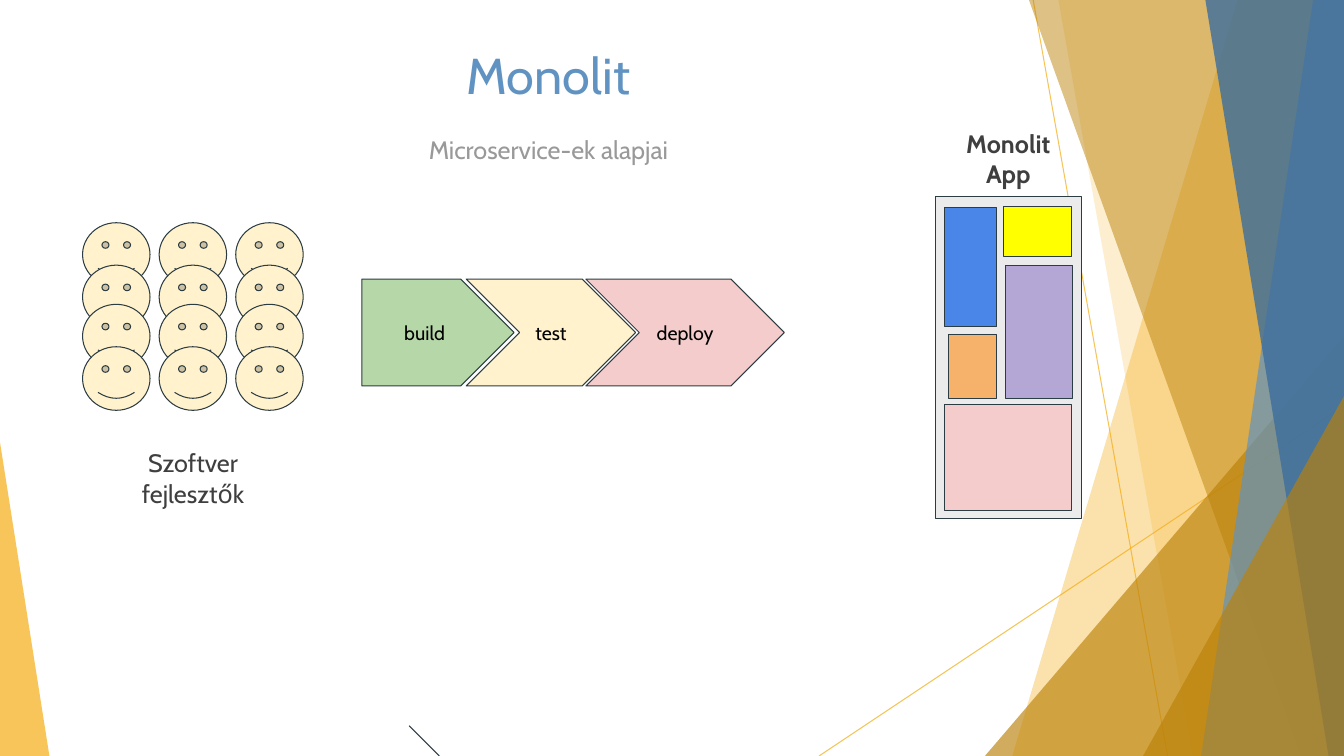
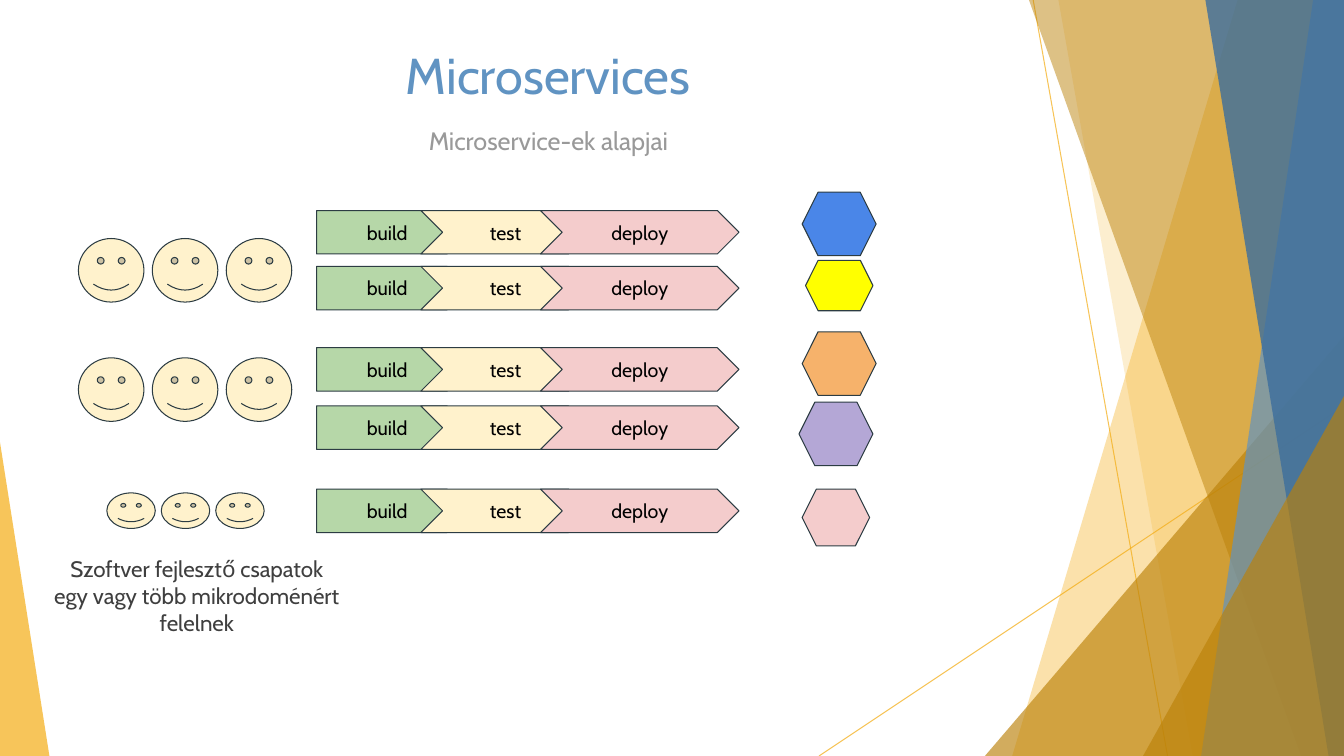
import pptx
import pptx.dml.color
import pptx.enum.shapes
import pptx.enum.text
import pptx.oxml
import pptx.oxml.ns
import pptx.util
from lxml import etree

Pt = pptx.util.Pt
SHAPE = pptx.enum.shapes.MSO_SHAPE
ANCHOR = pptx.enum.text.MSO_ANCHOR

WIDTH, HEIGHT = 960, 540
FONT = "Cabin"
OUTLINE = "2C3C43"
TITLE_BLUE, SUBTITLE_GREY, CAPTION_GREY, BLACK = "6093C2", "999999", "3F3F3F", "000000"
GOLD, DARK_GOLD, DEEP_BLUE = "F4AB11", "BB8108", "3C6E9D"
BLUE, YELLOW, ORANGE, PURPLE, PINK = "4A86E8", "FFFF00", "F6B26B", "B4A7D6", "F4CCCC"
CREAM, GREEN, FRAME_GREY = "FFF2CC", "B6D7A8", "EBEBEB"

# Start, end
BACKDROP_RAYS = [((738, 0), (834, HEIGHT)), ((WIDTH, 290), (585, HEIGHT))]
# Bands reach the right edge: left end at the top, left end at the bottom, colour, opacity %
# Wedges: left, top, width, apex position, colour, opacity %
BACKDROP = [
    ("band", 884, 723, GOLD, 35),
    ("band", 756, 852, GOLD, 20),
    ("wedge", 703.5, 240, 256.5, 1, DARK_GOLD, 65),
    ("band", 735, 929.5, DARK_GOLD, 49),
    ("band", 938, 858, TITLE_BLUE, 69),
    ("band", 861, 949, DEEP_BLUE, 80),
    ("wedge", 816.5, 283, 143.5, 1, DARK_GOLD, 65),
    ("wedge", 0, 316, 35.3, 0, GOLD, 69),
]

SUBTITLE = "Microservice-ek alapjai"
# Label, preset, offset, width, colour
STAGES = [
    ("build", SHAPE.PENTAGON, 0, 108.7, GREEN),
    ("test", SHAPE.CHEVRON, 74.5, 121, CREAM),
    ("deploy", SHAPE.CHEVRON, 160, 141.8, PINK),
]

# Teams: left, top, pitch, face width, face height
# Pipelines: left, top, height
# Parts: preset, left, top, width, height, colour
# Captions: paragraphs, left, top, width, height, size, bold
MONOLITH = {
    "title": "Monolit",
    "subtitle_top": 88.6,
    "teams": [(59, top, 54.7, 48.2, 45.4) for top in (159.1, 189.4, 217.4, 247.7)],
    "pipelines": [(258.5, 199.4, 76.3)],
    "parts": [
        (SHAPE.RECTANGLE, 668, 140.4, 104.4, 229.7, FRAME_GREY),
        (SHAPE.RECTANGLE, 674.6, 148.3, 37.4, 85, BLUE),
        (SHAPE.RECTANGLE, 717, 147.6, 48.2, 36, YELLOW),
        (SHAPE.RECTANGLE, 718, 189.4, 48.2, 95, PURPLE),
        (SHAPE.RECTANGLE, 674.6, 288.7, 90.7, 76.3, PINK),
        (SHAPE.RECTANGLE, 677.5, 239, 34.6, 45.4, ORANGE),
    ],
    "captions": [
        (["Monolit", "App"], 668, 84.2, 104.4, 58.3, 18, True),
        (["Szoftver", "fejlesztők"], 85.7, 312.5, 104.4, 58.3, 18, False),
    ],
    "strokes": [((292.3, 518.4), (313.8, HEIGHT))],
}
MICROSERVICES = {
    "title": "Microservices",
    "subtitle_top": 82.5,
    "teams": [
        (56, 170.4, 52.8, 46.8, 45.4),
        (56, 255.6, 52.8, 46.8, 45.4),
        (76.3, 352.1, 38.9, 34.6, 25.4),
    ],
    "pipelines": [(226.1, top, 31) for top in (150.4, 190.3, 248.4, 290, 349.4)],
    "parts": [
        (SHAPE.HEXAGON, 573, 137.3, 52.8, 45.4, BLUE),
        (SHAPE.HEXAGON, 575.4, 186, 48.2, 36, YELLOW),
        (SHAPE.HEXAGON, 570.7, 287.3, 52.8, 45.4, PURPLE),
        (SHAPE.HEXAGON, 573, 349.4, 48.2, 40.5, PINK),
        (SHAPE.HEXAGON, 573, 237, 52.8, 45.4, ORANGE),
    ],
    "captions": [
        (["Szoftver fejlesztő csapatok", "egy vagy több mikrodoménért felelnek"],
         8.6, 389.5, 264, 73, 16, False),
    ],
    "strokes": [],
}


def rgb(value):
    return pptx.dml.color.RGBColor.from_string(value)


def set_opacity(shape, percent):
    for color in shape.element.spPr.iter(pptx.oxml.ns.qn("a:srgbClr")):
        etree.SubElement(color, pptx.oxml.ns.qn("a:alpha"), val=str(percent * 1000))


def paint(shape, fill, outline=None):
    shape.shadow.inherit = False
    shape.fill.solid()
    shape.fill.fore_color.rgb = rgb(fill)
    if outline:
        shape.line.color.rgb = rgb(outline)
        shape.line.width = Pt(0.75)
    else:
        shape.line.fill.background()


def add_part(slide, preset, left, top, width, height, fill, outline=OUTLINE):
    part = slide.shapes.add_shape(preset, Pt(left), Pt(top), Pt(width), Pt(height))
    paint(part, fill, outline)
    return part


def add_stroke(slide, start, end, color):
    stroke = slide.shapes.add_connector(
        pptx.enum.shapes.MSO_CONNECTOR.STRAIGHT, *map(Pt, start + end))
    stroke.line.color.rgb = rgb(color)
    stroke.line.width = Pt(0.75)
    etree.SubElement(stroke.element.spPr, pptx.oxml.ns.qn("a:effectLst"))
    return stroke


def write(shape, lines, size, color, bold=False, anchor=ANCHOR.TOP, inset=7.2):
    """Fill a shape with centred paragraphs; inset is the top and bottom margin."""
    frame = shape.text_frame
    frame.text = "\n".join(lines)
    frame.word_wrap = True
    frame.vertical_anchor = anchor
    frame.margin_left = frame.margin_right = Pt(7.2)
    frame.margin_top = frame.margin_bottom = Pt(inset)
    for paragraph in frame.paragraphs:
        paragraph.alignment = pptx.enum.text.PP_ALIGN.CENTER
        for run in paragraph.runs:
            run.font.name = FONT
            run.font.size = Pt(size)
            run.font.bold = bold
            run.font.color.rgb = rgb(color)


def add_text(slide, lines, left, top, width, height, size, color, **style):
    box = slide.shapes.add_textbox(Pt(left), Pt(top), Pt(width), Pt(height))
    write(box, lines, size, color, **style)


def add_band(slide, top_left, bottom_left, color):
    builder = slide.shapes.build_freeform(Pt(top_left), Pt(0))
    corners = [(WIDTH, 0), (WIDTH, HEIGHT), (bottom_left, HEIGHT)]
    builder.add_line_segments([(Pt(x), Pt(y)) for x, y in corners], close=True)
    band = builder.convert_to_shape()
    paint(band, color)
    return band


def add_wedge(slide, left, top, width, apex, color):
    wedge = add_part(slide, SHAPE.ISOSCELES_TRIANGLE, left, top, width,
                     HEIGHT - top, color, outline=None)
    wedge.adjustments[0] = apex
    return wedge


def add_backdrop(slide):
    for start, end in BACKDROP_RAYS:
        set_opacity(add_stroke(slide, start, end, GOLD), 69)
    draw = {"band": add_band, "wedge": add_wedge}
    for kind, *geometry, opacity in BACKDROP:
        set_opacity(draw[kind](slide, *geometry), opacity)


def add_team(slide, left, top, pitch, width, height):
    for member in range(3):
        add_part(slide, SHAPE.SMILEY_FACE, left + member * pitch, top, width, height, CREAM)


def add_pipeline(slide, left, top, height):
    for label, preset, offset, width, color in STAGES:
        stage = add_part(slide, preset, left + offset, top, width, height, color)
        write(stage, [label], 14, BLACK, anchor=ANCHOR.MIDDLE)


def add_architecture_slide(deck, content):
    slide = deck.slides.add_slide(deck.slide_layouts[6])
    add_backdrop(slide)
    add_text(slide, [content["title"]], 53.3, 28, 676.8, 60.5, 36, TITLE_BLUE, inset=3.6)
    add_text(slide, [SUBTITLE], 219, content["subtitle_top"], 345.6, 40.3, 18, SUBTITLE_GREY)
    for start, end in content["strokes"]:
        add_stroke(slide, start, end, OUTLINE)
    for part in content["parts"]:
        add_part(slide, *part)
    for team in content["teams"]:
        add_team(slide, *team)
    for pipeline in content["pipelines"]:
        add_pipeline(slide, *pipeline)
    for *caption, size, bold in content["captions"]:
        add_text(slide, *caption, size, CAPTION_GREY, bold=bold)


def main():
    deck = pptx.Presentation()
    deck.slide_width, deck.slide_height = Pt(WIDTH), Pt(HEIGHT)
    for content in (MONOLITH, MICROSERVICES):
        add_architecture_slide(deck, content)
    deck.save("out.pptx")


if __name__ == "__main__":
    main()
